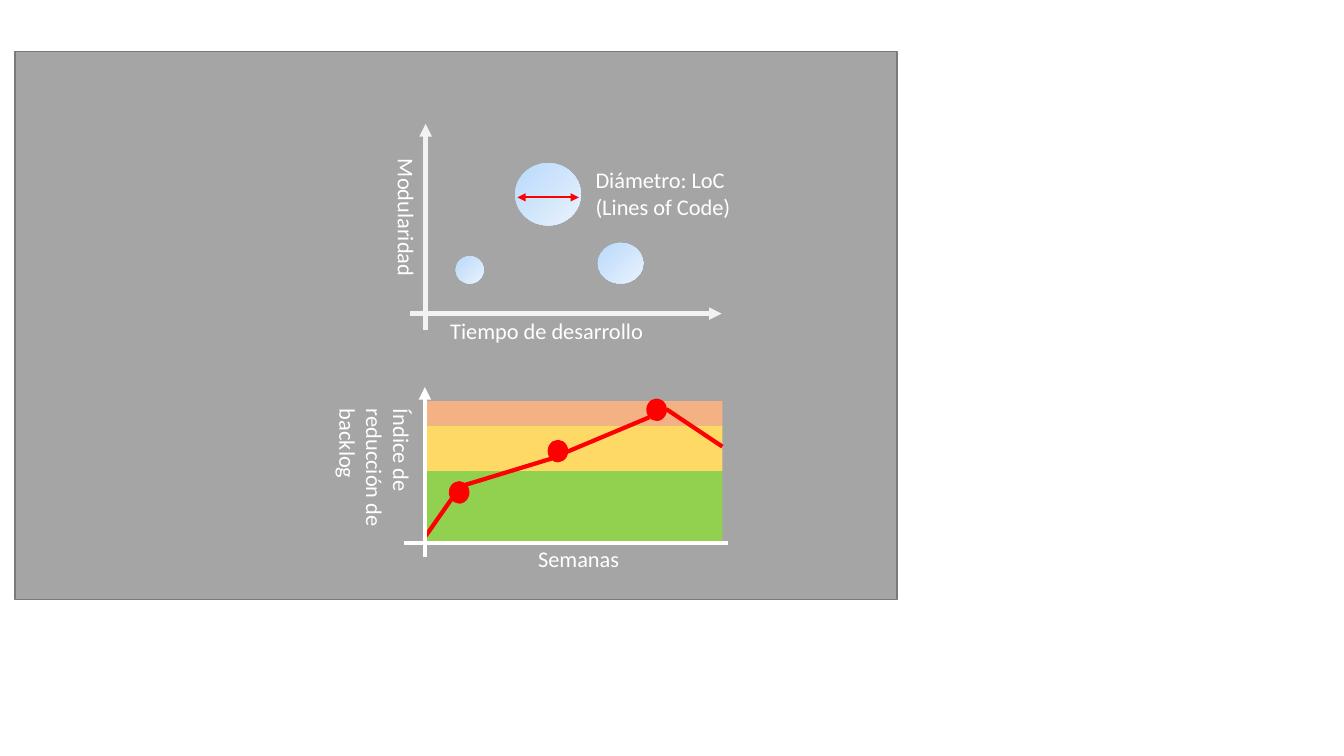
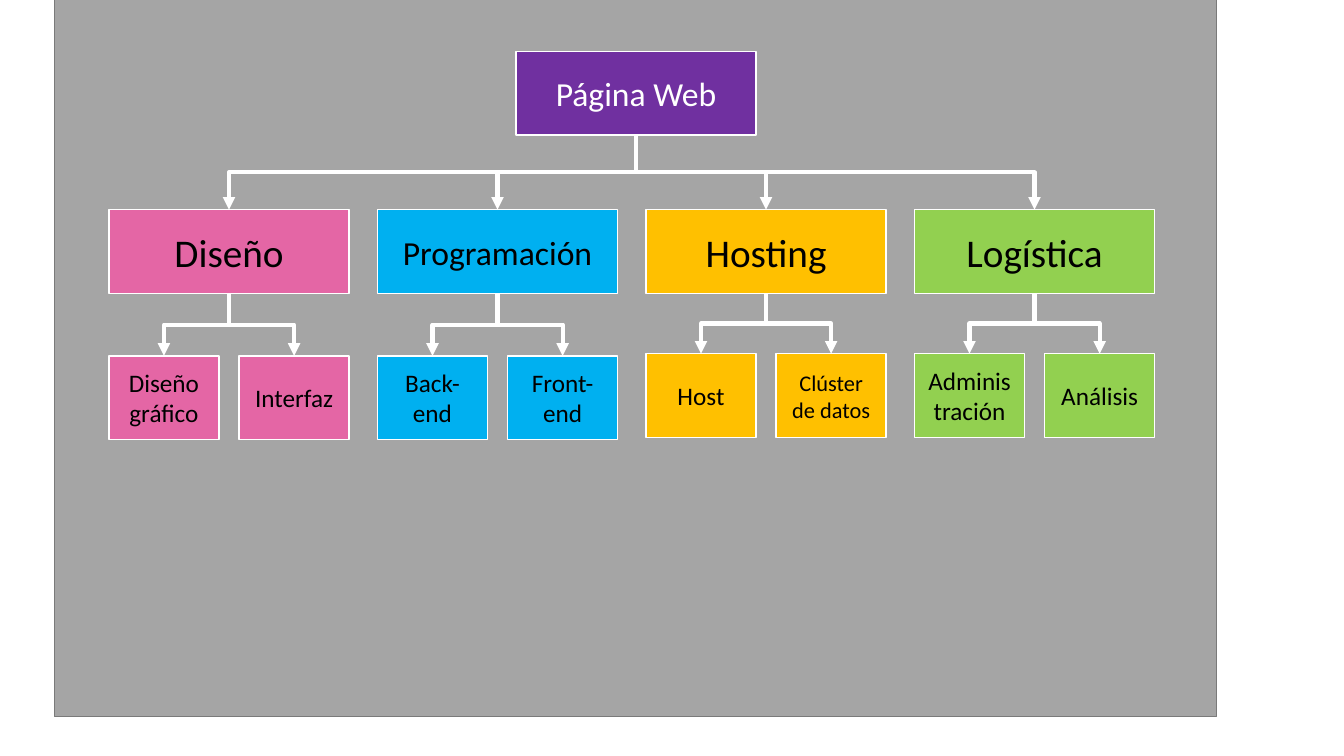
import pptx
import pptx.util
import pptx.dml.color
import pptx.enum.shapes
import pptx.enum.text
import pptx.oxml
import pptx.oxml.ns
from dataclasses import dataclass

Pt = pptx.util.Pt
Kind = pptx.enum.shapes.MSO_SHAPE
Link = pptx.enum.shapes.MSO_CONNECTOR
Align = pptx.enum.text.PP_ALIGN
Anchor = pptx.enum.text.MSO_ANCHOR


@dataclass(frozen=True)
class Theme:
    font: str = "Calibri"
    panel: str = "A5A5A5"
    edge: str = "7A7A7A"
    white: str = "FFFFFF"
    black: str = "000000"
    pale: str = "F2F2F2"
    red: str = "FF0000"
    bubble: tuple = ("B9DAFB", "E9F2FD")
    orange: str = "F4B183"
    yellow: str = "FFD966"
    green: str = "92D050"
    purple: str = "7030A0"
    pink: str = "E466A5"
    blue: str = "00B0F0"
    gold: str = "FFC000"
    small: float = 16
    leaf: float = 18
    mid: float = 24
    large: float = 28
    thin: float = 1
    arrow: float = 1.5
    thick: float = 3


theme = Theme()


def rgb(code):
    return pptx.dml.color.RGBColor.from_string(code)


def apply(target, **values):
    for name, value in values.items():
        setattr(target, name, value)


def write(frame, text, size, color, align):
    """Put one formatted paragraph in a text frame."""
    frame.word_wrap = True
    para = frame.paragraphs[0]
    para.alignment = align
    run = para.add_run()
    run.text = text
    apply(run.font, name=theme.font, size=Pt(size))
    run.font.color.rgb = rgb(color)


def shape(slide, box, fill, edge=None, kind=Kind.RECTANGLE):
    """Add a shape; a tuple of two colours makes a diagonal gradient."""
    item = slide.shapes.add_shape(kind, *map(Pt, box))
    item.shadow.inherit = False
    if isinstance(fill, tuple):
        item.fill.gradient()
        item.fill.gradient_angle = 315
        for stop, code in zip(item.fill.gradient_stops, fill):
            stop.color.rgb = rgb(code)
    else:
        item.fill.solid()
        item.fill.fore_color.rgb = rgb(fill)
    if edge:
        item.line.color.rgb = rgb(edge)
        item.line.width = Pt(theme.thin)
    else:
        item.line.fill.background()
    return item


def label(slide, box, text, turn=0):
    item = slide.shapes.add_textbox(*map(Pt, box))
    item.rotation = turn
    write(item.text_frame, text, theme.small, theme.white, Align.LEFT)


def line(slide, start, end, color, width=theme.thick, ends=(), kind=Link.STRAIGHT):
    """Add a connector; ends lists which of head and tail get a triangle."""
    item = slide.shapes.add_connector(kind, *map(Pt, (*start, *end)))
    item.line.color.rgb = rgb(color)
    item.line.width = Pt(width)
    for end_name in ends:
        tip = pptx.oxml.parse_xml(
            f'<a:{end_name}End {pptx.oxml.ns.nsdecls("a")} type="triangle"/>')
        item.line._get_or_add_ln().append(tip)
    item._element.spPr.append(
        pptx.oxml.parse_xml(f'<a:effectLst {pptx.oxml.ns.nsdecls("a")}/>'))
    return item


def elbow(slide, parent, child):
    """Link the foot of one box to the top of another, bending halfway."""
    item = line(slide, (0, 0), (1, 1), theme.white, ends=("tail",), kind=Link.ELBOW)
    item.begin_connect(parent, 2)
    item.end_connect(child, 0)
    x1, y1 = parent.left + parent.width // 2, parent.top + parent.height
    x2, y2 = child.left + child.width // 2, child.top
    rise, run = y2 - y1, abs(x2 - x1)
    right = x2 > x1
    apply(item, left=(x1 + x2 - rise) // 2, top=(y1 + y2 - run) // 2,
          width=rise, height=run, rotation=270 if right else 90)
    frame = item._element.spPr.find(pptx.oxml.ns.qn("a:xfrm"))
    for name, value in {"flipH": str(int(right)), "flipV": "0"}.items():
        frame.set(name, value)


def bubbles(slide, box):
    """Draw the modularity plot; the box spans its two axes."""
    x, y, w, h = box
    base = y + h
    line(slide, (x, base + 11.5), (x, y), theme.pale, ends=("tail",))
    line(slide, (x - 11, base), (x + w, base), theme.pale, ends=("tail",))
    for dx, dy, wide, high in ((64, 28, 47, 44.5), (21.5, 94.5, 20, 19.5),
                               (123, 85, 32.5, 29)):
        shape(slide, (x + dx, y + dy, wide, high), theme.bubble, kind=Kind.OVAL)
    line(slide, (x + 65.5, y + 52.5), (x + 109.5, y + 52.5), theme.red,
         theme.arrow, ("head", "tail"))
    label(slide, (x + 10.5, base - 0.7, 166.5, 26.6), "Tiempo de desarrollo")
    label(slide, (x - 71.5, y + 62.7, 116, 26.6), "Modularidad", 90)
    label(slide, (x + 114.3, y + 26.7, 113, 46), "Diámetro: LoC (Lines of Code)")


def backlog(slide, box):
    """Draw the backlog plot; the box spans its two axes."""
    x, y, w, h = box
    base, top = y + h, y + 10
    for high, fill in ((17.5, theme.orange), (32.5, theme.yellow), (51, theme.green)):
        shape(slide, (x, top, w, high), fill)
        top += high
    line(slide, (x - 15.5, base), (x + w + 4, base), theme.white)
    wide, high = 13.7, 15.1
    for i in range(3):
        dot = (x + 24 + 70.5 * i - wide / 2, y + 75.2 - 29.5 * i - high / 2, wide, high)
        shape(slide, dot, theme.red, theme.red, Kind.OVAL)
    for x1, y1, x2, y2 in ((0, 106.5, 18.5, 80), (28.6, 69.8, 89.8, 51.1),
                           (101.4, 46.1, 159.7, 21.6), (172, 15.8, w, 42.5)):
        line(slide, (x + x1, y + y1), (x + x2, y + y2), theme.red)
    label(slide, (x + 73.3, base - 2.1, 91.4, 26.6), "Semanas")
    label(slide, (x - 95.2, y + 34.5, 117.4, 65.5), "Índice de reducción de backlog", 90)
    line(slide, (x - 0.5, base + 10), (x - 0.5, y), theme.white, ends=("tail",))


def node(slide, box, text, size, fill, color=theme.black):
    item = shape(slide, box, fill, theme.white)
    item.text_frame.vertical_anchor = Anchor.MIDDLE
    write(item.text_frame, text, size, color, Align.CENTER)
    return item


def tree(slide, box):
    """Draw the site breakdown: a root, four branches, two leaves each."""
    x, y, pitch, wide, high = *box, 191.8, 171.6, 59.8
    slim = 78.6
    root = node(slide, (x + 290.8, y, wide, high), "Página Web",
                theme.mid, theme.purple, theme.white)
    small, leaf, mid, large = theme.small, theme.leaf, theme.mid, theme.large
    parts = (
        ("Diseño", large, theme.pink, 217.5, (("Diseño gráfico", leaf), ("Interfaz", leaf))),
        ("Programación", mid, theme.blue, 217.5, (("Back-end", leaf), ("Front-end", leaf))),
        ("Hosting", large, theme.gold, 216, (("Host", leaf), ("Clúster de datos", small))),
        ("Logística", large, theme.green, 216, (("Administración", leaf), ("Análisis", leaf))),
    )
    for i, (text, size, fill, drop, leaves) in enumerate(parts):
        left = x + i * pitch
        branch = node(slide, (left, y + 113.1, wide, high), text, size, fill)
        elbow(slide, root, branch)
        for j, (name, points) in enumerate(leaves):
            spot = (left + j * (wide - slim), y + drop, slim, high)
            elbow(slide, branch, node(slide, spot, name, points, fill))


def page(deck, box):
    """Add a slide with its grey panel."""
    slide = deck.slides.add_slide(deck.slide_layouts[6])
    shape(slide, box, theme.panel, theme.edge)
    return slide


def main():
    deck = pptx.Presentation()
    apply(deck, slide_width=Pt(960), slide_height=Pt(540))
    plots = page(deck, (10.8, 36.7, 630, 391.7))
    bubbles(plots, (304, 88.5, 211.5, 135.5))
    backlog(plots, (304, 276.5, 212, 111.5))
    site = page(deck, (38.9, -2.9, 830.2, 514.8))
    tree(site, (77.8, 36.7))
    deck.save("out.pptx")


if __name__ == "__main__":
    main()
